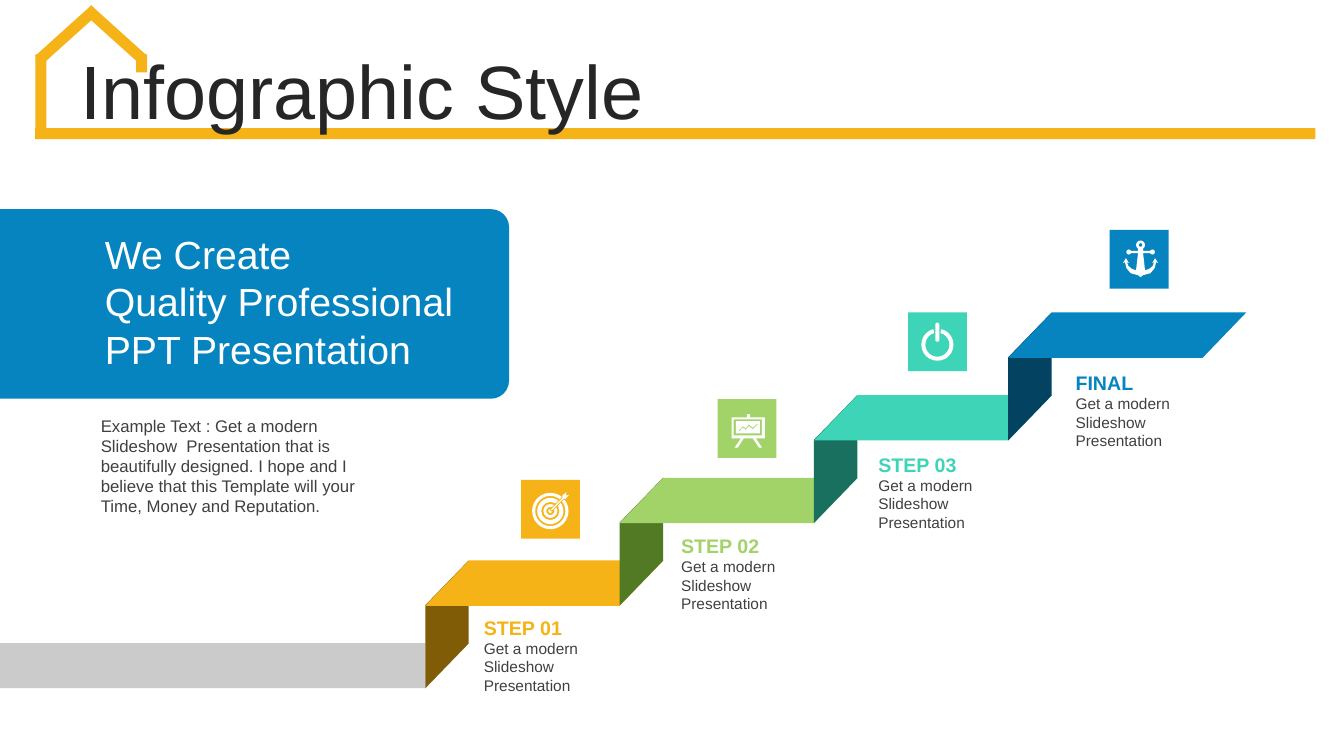
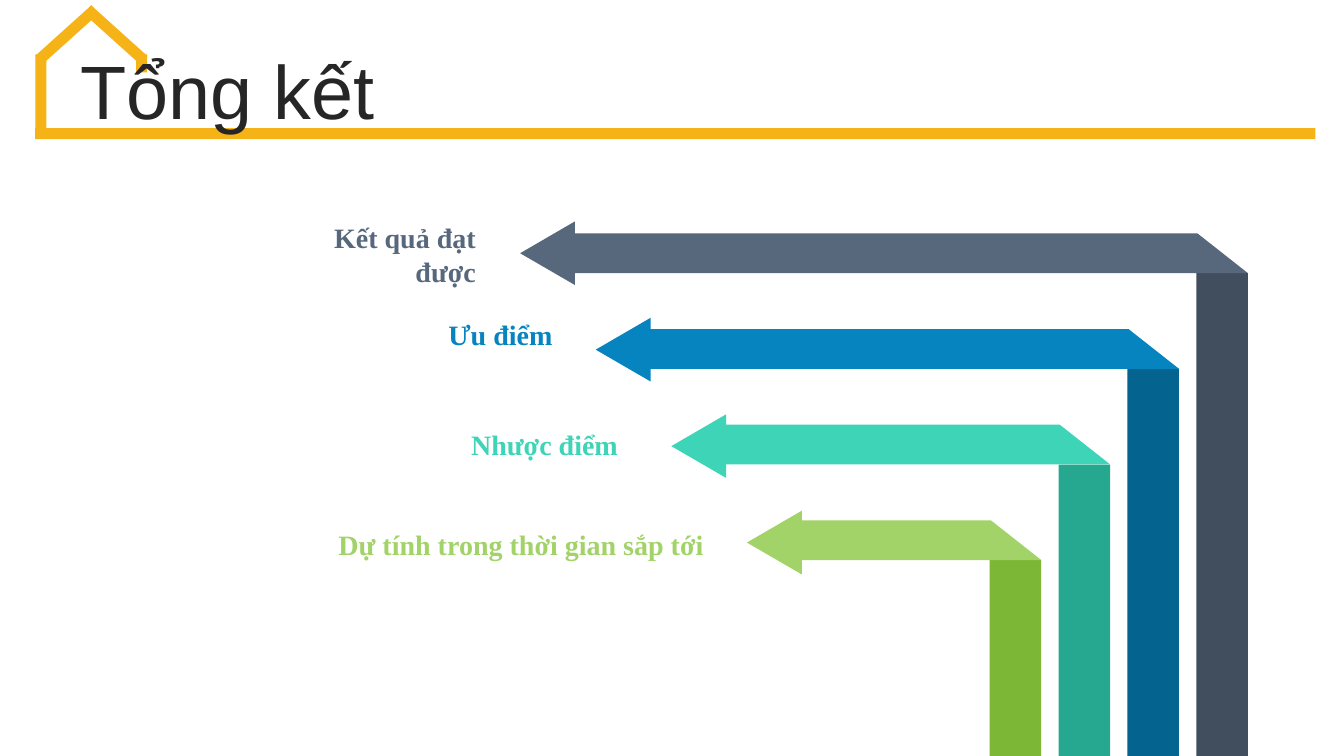
from dataclasses import dataclass

from pptx import Presentation
from pptx.dml.color import RGBColor
from pptx.enum.shapes import MSO_SHAPE
from pptx.enum.text import MSO_ANCHOR, MSO_AUTO_SIZE, PP_ALIGN
from pptx.oxml.ns import qn
from pptx.util import Pt

# Colours
WHITE = RGBColor(0xFF, 0xFF, 0xFF)
INK = RGBColor(0x26, 0x26, 0x26)
TEXT = RGBColor(0x40, 0x40, 0x40)
GREY = RGBColor(0xCB, 0xCB, 0xCB)
YELLOW = RGBColor(0xF5, 0xB3, 0x17)
GREEN = RGBColor(0xA2, 0xD3, 0x68)
TEAL = RGBColor(0x3E, 0xD4, 0xB7)
BLUE = RGBColor(0x06, 0x84, 0xBF)
SLATE = RGBColor(0x57, 0x68, 0x7C)
DARK_YELLOW = RGBColor(0x80, 0x5C, 0x06)
DARK_GREEN = RGBColor(0x52, 0x7A, 0x24)
DARK_TEAL = RGBColor(0x19, 0x70, 0x5F)
DARK_BLUE = RGBColor(0x03, 0x42, 0x60)
POST_SLATE = RGBColor(0x41, 0x4E, 0x5D)
POST_BLUE = RGBColor(0x05, 0x63, 0x8F)
POST_TEAL = RGBColor(0x25, 0xA8, 0x8F)
POST_GREEN = RGBColor(0x7C, 0xB7, 0x35)

SLIDE_W, SLIDE_H = 960, 540
Point = tuple[float, float]
Box = tuple[float, float, float, float]


@dataclass(frozen=True)
class Step:
    heading: str
    color: RGBColor
    dark: RGBColor
    tile: Point
    icon: str


@dataclass(frozen=True)
class Arrow:
    label: str
    box: Box
    color: RGBColor
    post: RGBColor


STEPS = [
    Step("STEP 01", YELLOW, DARK_YELLOW, (372.2, 342.7), "target"),
    Step("STEP 02", GREEN, DARK_GREEN, (512.6, 285.1), "board"),
    Step("STEP 03", TEAL, DARK_TEAL, (648.7, 223.2), "power"),
    Step("FINAL", BLUE, DARK_BLUE, (792.7, 164.2), "anchor"),
]
ARROWS = [
    Arrow("Kết quả đạt được", (185, 154.1, 162, 55.4), SLATE, POST_SLATE),
    Arrow("Ưu điểm", (290, 223.2, 111.8, 31.7), BLUE, POST_BLUE),
    Arrow("Nhược điểm", (324.7, 301.7, 123.8, 31.7), TEAL, POST_TEAL),
    Arrow("Dự tính trong thời gian sắp tới", (229, 373, 280.8, 31.7), GREEN, POST_GREEN),
]

# Icon outlines, measured from the corner of the tile
DART = [(32.4, 8.2), (32.4, 10.8), (35, 10.8), (31.9, 14), (30.4, 14),
        (21.9, 22.5), (20.7, 21.3), (29.2, 12.8), (29.2, 11.3)]
BOARD = [
    [(10.1, 13), (20.9, 13), (20.9, 10.8), (23, 10.8), (23, 13), (33.8, 13),
     (33.8, 28.1), (27.4, 28.1), (31.7, 34.6), (29.5, 34.6), (25.2, 28.1),
     (18.7, 28.1), (14.4, 34.6), (12.2, 34.6), (16.6, 28.1), (10.1, 28.1)],
    [(11.5, 14.4), (31.7, 14.4), (31.7, 25.9), (11.5, 25.9)],
    [(13, 15.8), (30.2, 15.8), (30.2, 24.5), (13, 24.5)],
    [(15.1, 22.3), (18, 19.4), (20.2, 20.9), (22.3, 18), (25.2, 20.5), (28.5, 17.3),
     (28.8, 18), (25.2, 21.6), (22.4, 19.2), (20.2, 21.9), (18, 20.4), (15.5, 23)],
]
ANCHOR_HALF = [(1.8, 13), (1.8, 15.1), (6.8, 15.1), (6.8, 16.6), (1.8, 16.6),
               (3.2, 28.8), (6, 28), (8.7, 25.8), (9.7, 23), (8.3, 23.8), (10.4, 20.2),
               (12.6, 23.8), (11.2, 23), (10, 27.5), (7, 31), (1.8, 32.4), (0, 33.8)]


def paint(sp, color: RGBColor):
    sp.shadow.inherit = False
    sp.fill.solid()
    sp.fill.fore_color.rgb = color
    sp.line.fill.background()
    return sp


def add_shape(slide, kind, box: Box, color: RGBColor, rotation: float = 0,
              adjust: tuple[float, ...] = (), mirror: bool = False):
    """Draw a preset shape; for quarter turns the box is the one seen on the slide."""
    x, y, w, h = box
    if rotation in (90, 270):
        x, y, w, h = x + (w - h) / 2, y + (h - w) / 2, h, w
    sp = paint(slide.shapes.add_shape(kind, Pt(x), Pt(y), Pt(w), Pt(h)), color)
    sp.rotation = rotation
    for i, value in enumerate(adjust):
        sp.adjustments[i] = value
    if mirror:
        sp.element.spPr.find(qn("a:xfrm")).set("flipH", "1")
    return sp


def add_outline(slide, contours: list[list[Point]], color: RGBColor, origin: Point = (0, 0)):
    ox, oy = origin
    builder = None
    for contour in contours:
        start, *rest = [(Pt(ox + x), Pt(oy + y)) for x, y in contour]
        if builder is None:
            builder = slide.shapes.build_freeform(*start)
        else:
            builder.move_to(*start)
        builder.add_line_segments(rest, close=True)
    return paint(builder.convert_to_shape(), color)


def format_paragraph(p, size: float, color: RGBColor, font: str = "Arial", bold: bool = False) -> None:
    for r in p.runs:
        r.font.size, r.font.name, r.font.bold = Pt(size), font, bold
        r.font.color.rgb = color


def add_text(slide, box: Box, text: str, size: float, color: RGBColor, font: str = "Arial",
             bold: bool = False, align=PP_ALIGN.LEFT, inset: Point = (0, 0)):
    tf = slide.shapes.add_textbox(*(Pt(v) for v in box)).text_frame
    tf.word_wrap = True
    tf.margin_left = tf.margin_right = Pt(inset[0])
    tf.margin_top = tf.margin_bottom = Pt(inset[1])
    tf.text = text
    for p in tf.paragraphs:
        p.alignment = align
        format_paragraph(p, size, color, font, bold)
    return tf


def add_circle(slide, center: Point, radius: float, color: RGBColor, hole: float = 0) -> None:
    x, y = center
    box = (x - radius, y - radius, 2 * radius, 2 * radius)
    if hole:
        add_shape(slide, MSO_SHAPE.DONUT, box, color, adjust=((radius - hole) / (2 * radius),))
    else:
        add_shape(slide, MSO_SHAPE.OVAL, box, color)


# Shared layout: house outline and title position
def prepare_layout(prs, layout, slide) -> None:
    for ph in list(layout.placeholders)[1:]:
        ph.element.getparent().remove(ph.element)
    title = layout.placeholders[0]
    title.left, title.top, title.width, title.height = Pt(50.4), Pt(39.6), Pt(886.3), Pt(56.9)
    for box, rotation in [
        ((25.2, 91.5, 914.4, 7.9), 0),
        ((25.2, 38.9, 7.9, 57.6), 0),
        ((97.2, 38.9, 7.9, 12.9), 0),
        ((43.9, -2.2, 7.9, 54), 48),
        ((78.5, -2.2, 7.9, 54), 312),
    ]:
        bar = add_shape(slide, MSO_SHAPE.RECTANGLE, box, YELLOW, rotation)
        layout.shapes.element.append(bar.element)


def set_title(slide, text: str) -> None:
    tf = slide.shapes.title.text_frame
    tf.text = text
    tf.auto_size = MSO_AUTO_SIZE.NONE
    tf.vertical_anchor = MSO_ANCHOR.MIDDLE
    p = tf.paragraphs[0]
    p.alignment, p.line_spacing, p.space_before = PP_ALIGN.LEFT, 0.9, Pt(10)
    format_paragraph(p, 54, INK)


def draw_icon(slide, name: str, tile: Point) -> None:
    x, y = tile
    if name == "target":
        center = (x + 20.9, y + 22.3)
        for radius, hole in [(13, 10.8), (9.4, 6.5), (5, 2.9), (1.4, 0)]:
            add_circle(slide, center, radius, WHITE, hole)
        dart = add_outline(slide, [DART], WHITE, tile)
        dart.line.color.rgb = YELLOW
        dart.line.width = Pt(0.5)
    elif name == "board":
        add_outline(slide, BOARD, WHITE, tile)
    elif name == "power":
        # Angles of the arc are in units of 0.6 per degree
        add_shape(slide, MSO_SHAPE.BLOCK_ARC, (x + 9.4, y + 11.5, 23, 23), WHITE,
                  adjust=(285 * 0.6, 255 * 0.6, 0.125))
        add_shape(slide, MSO_SHAPE.ROUNDED_RECTANGLE, (x + 19.4, y + 7.2, 2.9, 13.7), WHITE,
                  adjust=(0.5,))
    else:
        outline = ([(22 + dx, dy) for dx, dy in ANCHOR_HALF]
                   + [(22 - dx, dy) for dx, dy in reversed(ANCHOR_HALF)])
        add_outline(slide, [outline], WHITE, tile)
        add_circle(slide, (x + 22, y + 10.8), 3.2, WHITE, 1.3)
        for dx in (-8.4, 8.4):
            add_circle(slide, (x + 22 + dx, y + 15.8), 1.8, WHITE)


def build_steps(slide) -> None:
    set_title(slide, "Infographic Style")

    # Banner and introduction
    add_shape(slide, MSO_SHAPE.ROUND_2_SAME_RECTANGLE, (0, 149.4, 363.6, 135.4), BLUE, 90,
              adjust=(0.095, 0))
    add_shape(slide, MSO_SHAPE.RECTANGLE, (0, 459.4, 303.8, 32.2), GREY)
    tf = add_text(slide, (72, 167.8, 281, 98.6),
                  "We Create\nQuality Professional\nPPT Presentation", 28, WHITE, inset=(2.9, 0))
    for i, p in enumerate(tf.paragraphs):
        p.line_spacing = Pt(30)
        p.space_before = Pt(4.2 if i else 0)
    add_text(slide, (72, 296.6, 184.3, 72.7),
             "Example Text : Get a modern Slideshow  Presentation that is beautifully designed. "
             "I hope and I believe that this Template will your Time, Money and Reputation.",
             12, TEXT)

    # Staircase
    for i, step in enumerate(STEPS):
        x, y = 303.8 + 138.8 * i, 400.3 - 59.04 * i
        add_shape(slide, MSO_SHAPE.PARALLELOGRAM, (x, y, 31, 91.4), step.dark, 270,
                  adjust=(1.032,), mirror=True)
        add_shape(slide, MSO_SHAPE.PARALLELOGRAM, (x, y, 170, 32.4), step.color, adjust=(0.963,))

        label_x, label_y = 345.6 + 140.9 * i, 439.9 - 58.3 * i
        add_text(slide, (label_x, label_y, 96.5, 17), step.heading, 14, step.color, bold=True)
        add_text(slide, (label_x, label_y + 16.6, 96.5, 40), "Get a modern Slideshow Presentation",
                 11, TEXT)

        add_shape(slide, MSO_SHAPE.RECTANGLE, (*step.tile, 42, 42), step.color)
        draw_icon(slide, step.icon, step.tile)


def build_summary(slide) -> None:
    set_title(slide, "Tổng kết")
    band_h, post_w, fold = 28.4, 36.9, 36
    for i, arrow in enumerate(ARROWS):
        left, right = 410.4 + 54 * i, 891.4 - 49.2 * i
        top = 166.8 + 68.3 * i
        bottom = top + band_h
        add_shape(slide, MSO_SHAPE.RECTANGLE, (right - post_w, bottom, post_w, SLIDE_H - bottom),
                  arrow.post)
        add_outline(slide, [[(left, top), (right - fold, top), (right, bottom), (left, bottom)]],
                    arrow.color)
        add_shape(slide, MSO_SHAPE.ISOSCELES_TRIANGLE,
                  (left - 38.9, 158.1 + 68.9 * i, 39.2, 45.5), arrow.color, 270)
        add_text(slide, arrow.box, arrow.label, 20, arrow.color, "Times New Roman", True,
                 PP_ALIGN.RIGHT, (7.2, 3.6))


def main() -> None:
    prs = Presentation()
    prs.slide_width, prs.slide_height = Pt(SLIDE_W), Pt(SLIDE_H)
    layout = prs.slide_layouts[5]
    steps, summary = (prs.slides.add_slide(layout) for _ in range(2))
    prepare_layout(prs, layout, steps)
    build_steps(steps)
    build_summary(summary)
    prs.save("out.pptx")


if __name__ == "__main__":
    main()
